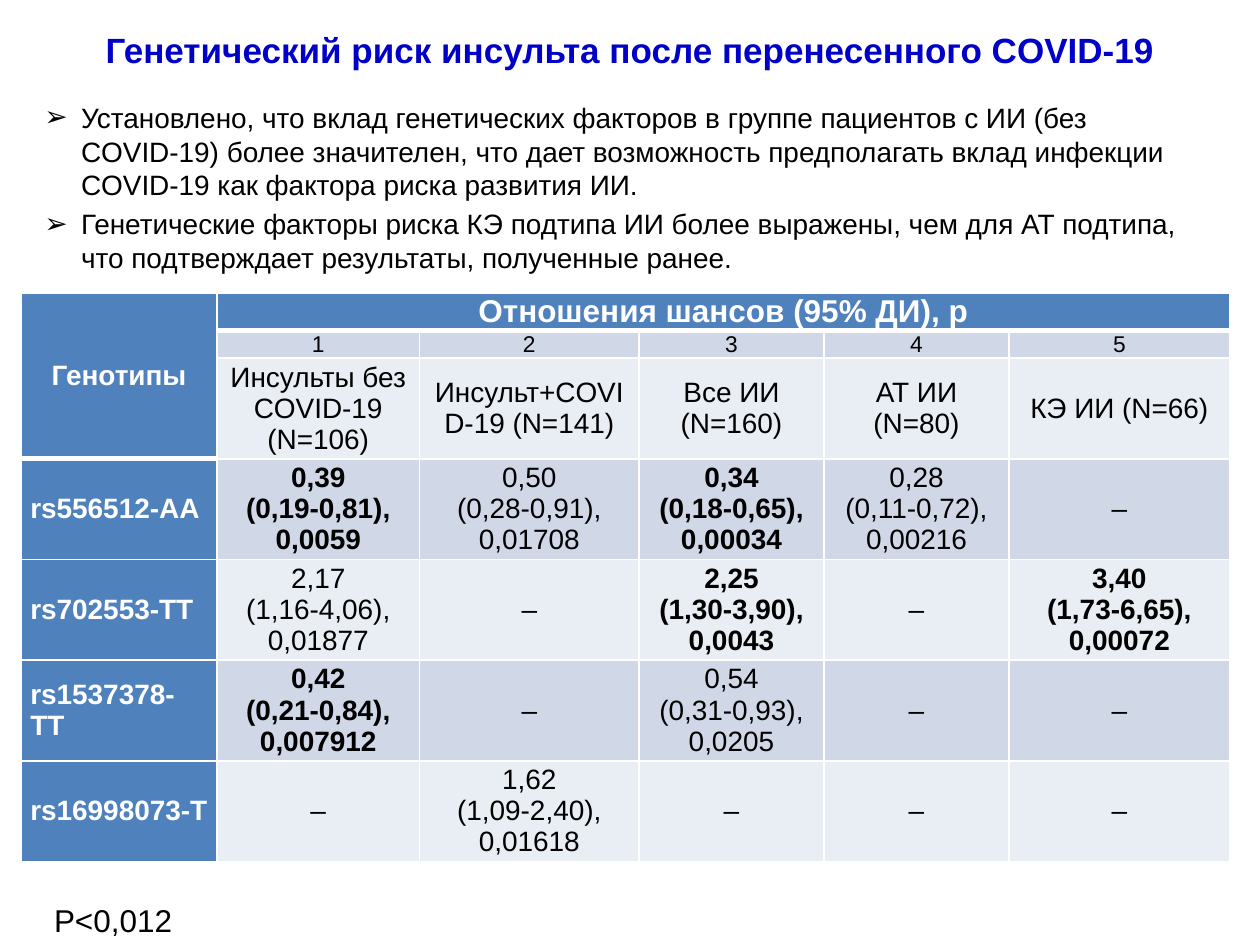
from dataclasses import dataclass

from lxml.etree import SubElement
from pptx import Presentation
from pptx.dml.color import RGBColor
from pptx.enum.text import MSO_ANCHOR, MSO_AUTO_SIZE, PP_ALIGN
from pptx.oxml.ns import qn
from pptx.util import Cm, Pt


@dataclass(frozen=True)
class Theme:
    """Colours, font and type sizes of the deck."""
    font: str = "Arial"
    title: str = "0000C8"
    ink: str = "000000"
    white: str = "FFFFFF"
    header: str = "4F81BD"
    bands: tuple = ("D0D8E8", "E9EDF4")
    title_size: int = 20
    large_size: int = 18
    body_size: int = 16
    small_size: int = 13


TITLE = "Генетический риск инсульта после перенесенного COVID-19"
FINDINGS = [
    "Установлено, что вклад генетических факторов в группе пациентов с ИИ (без COVID-19) более "
    "значителен, что дает возможность предполагать вклад инфекции COVID-19 как фактора риска развития ИИ.",
    "Генетические факторы риска КЭ подтипа ИИ более выражены, чем для АТ подтипа, "
    "что подтверждает результаты, полученные ранее.",
]
ODDS = [
    ["Генотипы", "Отношения шансов (95% ДИ), p", "", "", "", ""],
    ["", "1", "2", "3", "4", "5"],
    ["", "Инсульты без COVID-19 (N=106)", "Инсульт+COVID-19 (N=141)", "Все ИИ (N=160)",
     "АТ ИИ (N=80)", "КЭ ИИ (N=66)"],
    ["rs556512-AA", "0,39\n(0,19-0,81),\n0,0059", "0,50\n(0,28-0,91),\n0,01708",
     "0,34\n(0,18-0,65), 0,00034", "0,28\n(0,11-0,72), 0,00216", "–"],
    ["rs702553-TT", "2,17\n(1,16-4,06), 0,01877", "–", "2,25\n(1,30-3,90), 0,0043", "–",
     "3,40\n(1,73-6,65), 0,00072"],
    ["rs1537378-TT", "0,42\n(0,21-0,84), 0,007912", "–", "0,54\n(0,31-0,93), 0,0205", "–", "–"],
    ["rs16998073-T", "–", "1,62\n(1,09-2,40),\n0,01618", "–", "–", "–"],
]
SIGNIFICANT = {(3, 1), (3, 3), (4, 3), (4, 5), (5, 1)}
COLUMN_WIDTHS = [3.94, 4.09, 4.42, 3.73, 3.73, 4.45]
ROW_HEIGHTS = [0.74, 0.56] + [2.03] * 5


class SlideBuilder:
    """Holds the theme and the current slide."""

    def __init__(self, deck, theme):
        """Start a title and content slide."""
        self.theme = theme
        self.slide = deck.slides.add_slide(deck.slide_layouts[1])

    def style(self, para, size, color, bold=False, align=PP_ALIGN.LEFT):
        """Format the runs of one paragraph."""
        para.alignment = align
        for span in para.runs:
            span.font.name = self.theme.font
            span.font.size = Pt(size)
            span.font.bold = bold
            span.font.color.rgb = RGBColor.from_string(color)

    def place(self, box, left, top, width, height):
        """Set the position of a box in centimetres."""
        box.left, box.top, box.width, box.height = map(Cm, (left, top, width, height))
        box.text_frame.auto_size = MSO_AUTO_SIZE.NONE

    def title(self, text, *place):
        """Fill the title placeholder."""
        box = self.slide.shapes.title
        self.place(box, *place)
        box.text_frame.vertical_anchor = MSO_ANCHOR.MIDDLE
        box.text_frame.text = text
        self.style(box.text_frame.paragraphs[0], self.theme.title_size, self.theme.title,
                   True, PP_ALIGN.CENTER)

    def bullets(self, items, *place):
        """Fill the body placeholder with an arrow list."""
        box = self.slide.placeholders[1]
        self.place(box, *place)
        box.text_frame.text = "\n".join(items)
        for index, para in enumerate(box.text_frame.paragraphs):
            properties = para._p.get_or_add_pPr()
            properties.set("marL", str(Cm(0.74)))
            properties.set("indent", str(-Cm(0.74)))
            SubElement(properties, qn("a:buFont"), typeface=self.theme.font)
            SubElement(properties, qn("a:buChar"), char="➢")
            para.space_before = Pt(3.2 if index else 0)
            self.style(para, self.theme.body_size, self.theme.ink)

    def note(self, text, *place):
        """Add a one-line text box."""
        box = self.slide.shapes.add_textbox(0, 0, 0, 0)
        self.place(box, *place)
        box.text_frame.text = text
        self.style(box.text_frame.paragraphs[0], self.theme.large_size, self.theme.ink)

    def borders(self, cell, bottom):
        """Draw white borders with the given bottom width in points."""
        properties = cell._tc.get_or_add_tcPr()
        for side, width in (("L", 1), ("R", 1), ("T", 1), ("B", bottom)):
            line = SubElement(properties, qn(f"a:ln{side}"), w=str(Pt(width)))
            fill = SubElement(line, qn("a:solidFill"))
            SubElement(fill, qn("a:srgbClr"), val=self.theme.white)

    def cell(self, cell, text, row, column):
        """Fill and format one table cell by its place in the grid."""
        theme = self.theme
        header = row == 0 or column == 0
        self.borders(cell, 3 if row == 0 or (column == 0 and row == 2) else 1)
        cell.fill.solid()
        cell.fill.fore_color.rgb = RGBColor.from_string(
            theme.header if header else theme.bands[(row + 1) % 2])
        cell.margin_left = cell.margin_right = Cm(0.18)
        cell.margin_top = cell.margin_bottom = 0
        cell.vertical_anchor = MSO_ANCHOR.MIDDLE
        cell.text_frame.text = text
        size = theme.body_size
        if column:
            size = {0: theme.large_size, 1: theme.small_size}.get(row, size)
        align = PP_ALIGN.LEFT if column == 0 and row > 2 else PP_ALIGN.CENTER
        for para in cell.text_frame.paragraphs:
            self.style(para, size, theme.white if header else theme.ink,
                       header or (row, column) in SIGNIFICANT, align)

    def table(self, rows, left, top):
        """Add the odds ratio table with its merged headers."""
        frame = self.slide.shapes.add_table(
            len(rows), len(COLUMN_WIDTHS), Cm(left), Cm(top),
            Cm(sum(COLUMN_WIDTHS)), Cm(sum(ROW_HEIGHTS)))
        table = frame.table
        table.first_row = table.horz_banding = False
        for column, width in zip(table.columns, COLUMN_WIDTHS):
            column.width = Cm(width)
        for row, height in zip(table.rows, ROW_HEIGHTS):
            row.height = Cm(height)
        for row, texts in enumerate(rows):
            for column, text in enumerate(texts):
                self.cell(table.cell(row, column), text, row, column)
        table.cell(0, 0).merge(table.cell(2, 0))
        table.cell(0, 1).merge(table.cell(0, 5))


def main():
    """Build and save the slide."""
    deck = Presentation()
    deck.slide_width, deck.slide_height = Cm(25.4), Cm(19.05)
    page = SlideBuilder(deck, Theme())
    page.title(TITLE, 0, 0.43, 25.4, 1.12)
    page.table(ODDS, 0.43, 5.92)
    page.bullets(FINDINGS, 0.64, 1.9, 24.13, 3.81)
    page.note("P<0,012", 0.84, 18.03, 2.9, 1.02)
    deck.save("out.pptx")


if __name__ == "__main__":
    main()
